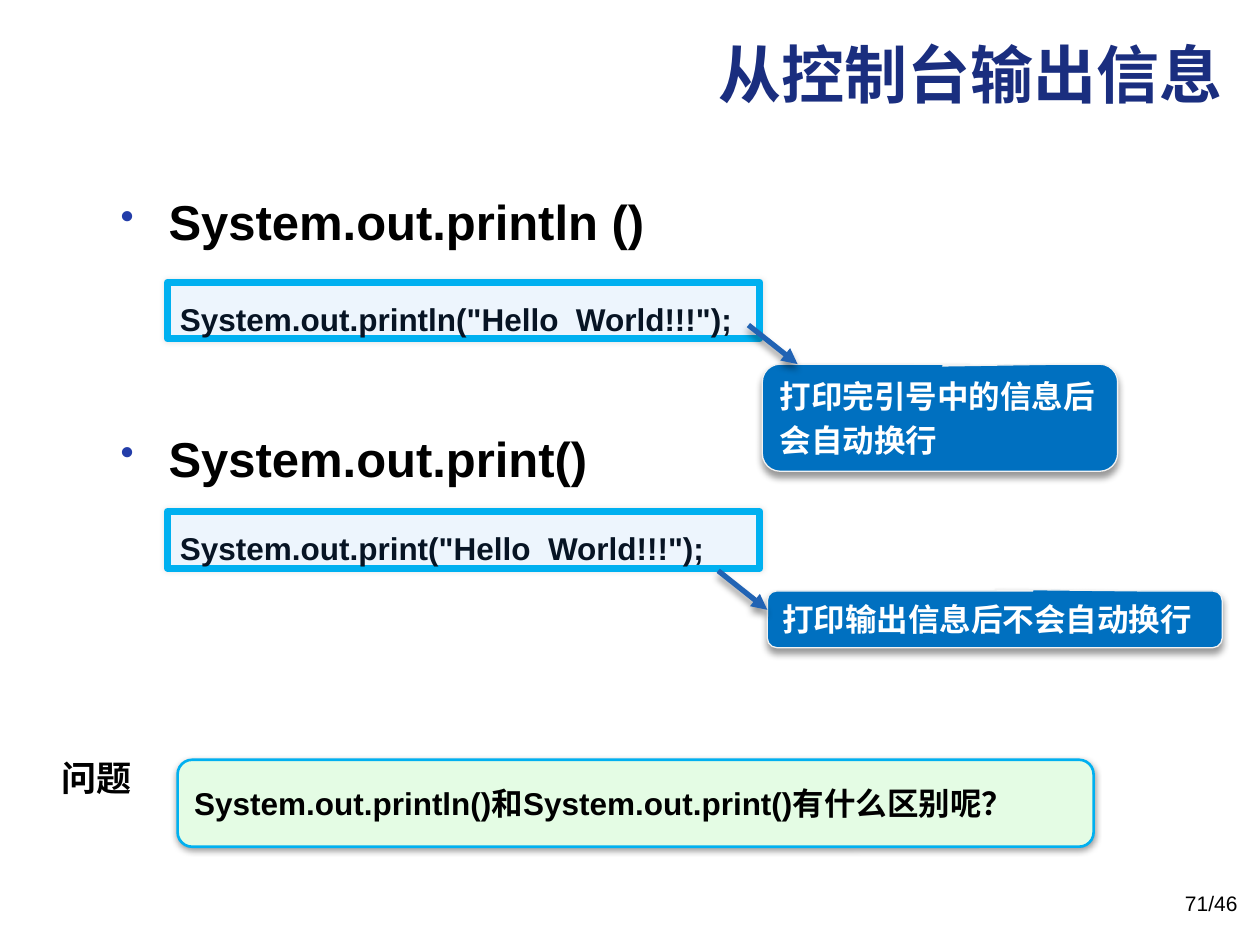
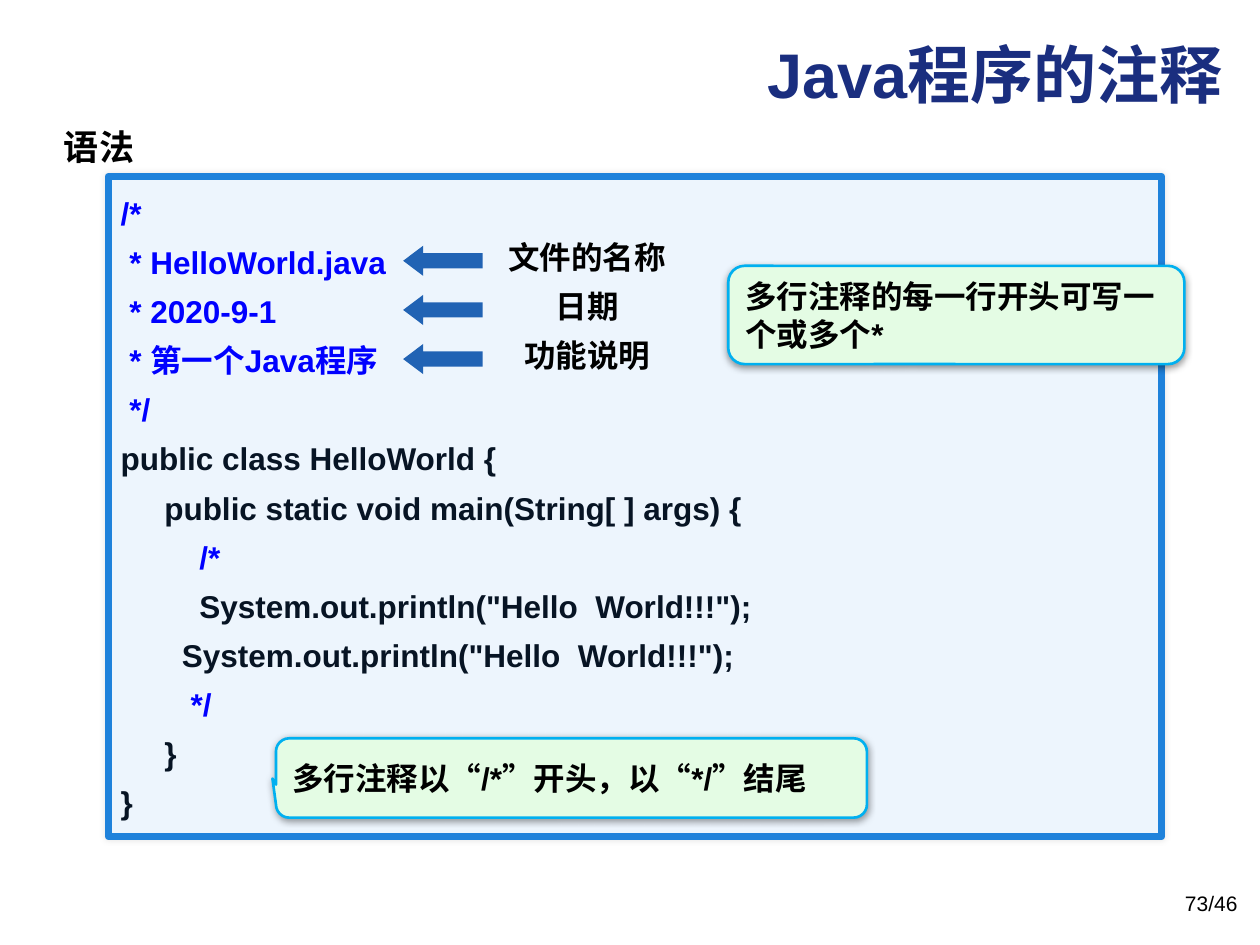
from pptx import Presentation
from pptx.dml.color import RGBColor
from pptx.enum.shapes import MSO_CONNECTOR, MSO_SHAPE
from pptx.enum.text import MSO_ANCHOR, PP_ALIGN
from pptx.oxml import parse_xml
from pptx.oxml.ns import nsdecls
from pptx.util import Inches, Pt

LEFT, CENTER, RIGHT = PP_ALIGN.LEFT, PP_ALIGN.CENTER, PP_ALIGN.RIGHT
TOP, MIDDLE = MSO_ANCHOR.TOP, MSO_ANCHOR.MIDDLE
ROUNDED = MSO_SHAPE.ROUNDED_RECTANGLE
ALTERNATE = MSO_SHAPE.FLOWCHART_ALTERNATE_PROCESS
CALLOUT = MSO_SHAPE.ROUNDED_RECTANGULAR_CALLOUT
LEFT_ARROW = MSO_SHAPE.LEFT_ARROW
STRAIGHT = MSO_CONNECTOR.STRAIGHT

WIDTH, HEIGHT = 10, 7.5
LATIN, CHINESE = "Arial", "Noto Sans CJK SC"
BLACK, WHITE, NAVY, BULLET = "000000", "FFFFFF", "1A2E7F", "233DA9"
CODE, COMMENT, ARROW = "071424", "0000FF", "2163B4"

GLOW = dict(alpha=10, blur=3, distance=0, angle=0)
SOFT = dict(alpha=40, blur=4, distance=1, angle=90)
DROP = dict(alpha=40, blur=4, distance=3, angle=90)

CODE_STYLE = dict(fill="EDF5FD", line="00B0F0", weight=4, shadow=GLOW)
LISTING_STYLE = {**CODE_STYLE, "line": "1F82DB"}
NOTE_STYLE = dict(fill="E4FCE4", line="00B0F0", weight=1.5, shadow=SOFT)
ANSWER_STYLE = dict(fill="0070C0", line="F2F2F2", weight=0.75, shadow=DROP)

METHODS = [
    dict(name="System.out.println ()", name_area=(0.86, 1.4, 8.36, 5.48),
         code='System.out.println("Hello  World!!!");', code_top=2.24,
         answer=["打印完引号中的信息后", "会自动换行"],
         answer_area=(6.05, 2.89, 2.82, 0.85),
         tip=(0.007, -0.483, 0.167), arrow_start=(5.94, 2.58)),
    dict(name="System.out.print()", name_area=(0.86, 3.28, 8.98, 0.86),
         code='System.out.print("Hello  World!!!");', code_top=4.06,
         answer=["打印输出信息后不会自动换行"],
         answer_area=(6.09, 4.69, 3.61, 0.45),
         tip=(0.001, -0.53, 0.167), arrow_start=(5.7, 4.53)),
]
QUESTION = "System.out.println()和System.out.print()有什么区别呢？"

LISTING = [
    ("/*", COMMENT),
    (" * HelloWorld.java", COMMENT),
    (" * 2020-9-1", COMMENT),
    (" * 第一个Java程序", COMMENT),
    (" */", COMMENT),
    ("public class HelloWorld {", CODE),
    ("     public static void main(String[ ] args) {", CODE),
    ("         /*", COMMENT),
    ('         System.out.println("Hello  World!!!");', CODE),
    ('       System.out.println("Hello  World!!!");', CODE),
    ("        */", COMMENT),
    ("     }", CODE),
    ("}", CODE),
]
LINE_LABELS = ["文件的名称", "日期", "功能说明"]
LABEL_TOP, LABEL_STEP = 1.92, 0.39
NOTES = [
    ("多行注释以“/*”开头，以“*/”结尾", (2.19, 5.86, 4.69, 0.63), (-0.506, 0.007, 0.167)),
    ("多行注释的每一行开头可写一个或多个*", (5.78, 2.11, 3.62, 0.78), (-0.002, 0.499, 0.167)),
]


def color(value):
    return RGBColor.from_string(value)


def add_shadow(properties, alpha, blur, distance, angle):
    properties.append(parse_xml(
        f'<a:effectLst {nsdecls("a")}><a:outerShdw blurRad="{Pt(blur)}" dist="{Pt(distance)}" '
        f'dir="{angle * 60000}" algn="ctr" rotWithShape="0"><a:srgbClr val="{BLACK}">'
        f'<a:alpha val="{alpha * 1000}"/></a:srgbClr></a:outerShdw></a:effectLst>'))


def add_bullet(paragraph):
    properties = paragraph._p.get_or_add_pPr()
    properties.set("marL", str(Inches(0.38)))
    properties.set("indent", str(-Inches(0.38)))
    for content in (f'buClr {nsdecls("a")}><a:srgbClr val="{BULLET}"/></a:buClr>',
                    f'buSzPct {nsdecls("a")} val="80000"/>',
                    f'buChar {nsdecls("a")} char="•"/>'):
        properties.append(parse_xml("<a:" + content))


def write(box, lines, size=18, ink=BLACK, bold=True, font=LATIN, align=LEFT, anchor=TOP,
          spacing=None, gap=0, bullet=False, wrap=True, inset=None, shadow=None):
    """Fill a box with lines, each a string or a (string, colour) pair."""
    frame = box.text_frame
    frame.word_wrap = wrap
    frame.vertical_anchor = anchor
    if inset is not None:
        frame.margin_left = frame.margin_right = Inches(inset)
        frame.margin_top = frame.margin_bottom = Inches(inset)
    for index, line in enumerate(lines):
        text, line_ink = (line, ink) if isinstance(line, str) else line
        paragraph = frame.add_paragraph() if index else frame.paragraphs[0]
        paragraph.text = text
        if bullet:
            add_bullet(paragraph)
        paragraph.alignment = align
        if spacing:
            paragraph.line_spacing = spacing
        if index and gap:
            paragraph.space_before = Pt(gap)
        for span in paragraph.runs:
            span.font.size = Pt(size)
            span.font.bold = bold
            span.font.color.rgb = color(line_ink)
            properties = span._r.get_or_add_rPr()
            if shadow:
                add_shadow(properties, **shadow)
            span.font.name = font
            properties.append(parse_xml(f'<a:ea {nsdecls("a")} typeface="{CHINESE}"/>'))


def add_text(page, area, lines, **style):
    write(page.shapes.add_textbox(*map(Inches, area)), lines, **style)


def add_panel(page, kind, area, fill, line=None, weight=0, shadow=None, adjust=()):
    panel = page.shapes.add_shape(kind, *map(Inches, area))
    for index, value in enumerate(adjust):
        panel.adjustments[index] = value
    panel.fill.solid()
    panel.fill.fore_color.rgb = color(fill)
    if line:
        panel.line.color.rgb = color(line)
        panel.line.width = Pt(weight)
    else:
        panel.line.fill.background()
    if shadow:
        add_shadow(panel.element.spPr, **shadow)
    else:
        panel.shadow.inherit = False
    return panel


def add_arrow(page, start, end):
    arrow = page.shapes.add_connector(STRAIGHT, *map(Inches, start + end))
    arrow.line.color.rgb = color(ARROW)
    arrow.line.width = Pt(3)
    arrow.line._get_or_add_ln().append(
        parse_xml(f'<a:tailEnd {nsdecls("a")} type="triangle"/>'))
    add_shadow(arrow.element.spPr, **DROP)


def add_page(deck, title, number):
    page = deck.slides.add_slide(deck.slide_layouts[6])
    add_text(page, (0.8, 0.23, 9, 0.98), [title], size=36, ink=NAVY, align=RIGHT)
    add_text(page, (7.59, 7.02, 2.33, 0.4), [number], size=12, bold=False, align=RIGHT)
    return page


def add_heading(page, left, top, text):
    add_text(page, (left, top, 0.77, 0.44), [text], size=20, font=CHINESE,
             anchor=MIDDLE, wrap=False, shadow=DROP)


def build_output_page(deck):
    page = add_page(deck, "从控制台输出信息", "71/46")
    for method in METHODS:
        add_text(page, method["name_area"], [method["name"]], size=28, spacing=1.15, bullet=True)
        code = add_panel(page, ROUNDED, (1.33, method["code_top"], 4.7, 0.45),
                         adjust=(0,), **CODE_STYLE)
        write(code, [method["code"]], ink=CODE, spacing=1.3)
        answer = add_panel(page, CALLOUT, method["answer_area"],
                           adjust=method["tip"], **ANSWER_STYLE)
        write(answer, method["answer"], ink=WHITE, anchor=MIDDLE, gap=3.6)
        left, top = method["arrow_start"]
        add_arrow(page, (left, top), (left + 0.39, top + 0.31))
    question = add_panel(page, ALTERNATE, (1.41, 6.03, 7.27, 0.69), **NOTE_STYLE)
    write(question, [QUESTION], anchor=MIDDLE)
    add_heading(page, 0.39, 5.95, "问题")


def build_comment_page(deck):
    page = add_page(deck, "Java程序的注释", "73/46")
    listing = add_panel(page, ROUNDED, (0.86, 1.4, 8.36, 5.24), adjust=(0,), **LISTING_STYLE)
    write(listing, LISTING, spacing=1.3)
    for row, label in enumerate(LINE_LABELS):
        top = LABEL_TOP + row * LABEL_STEP
        add_text(page, (3.52, top, 2.28, 0.27), [label], align=CENTER, anchor=MIDDLE,
                 spacing=0.9, inset=0)
        add_panel(page, LEFT_ARROW, (3.2, top + 0.03, 0.63, 0.24), ARROW, adjust=(0.5, 0.665))
    for text, area, tip in NOTES:
        note = add_panel(page, CALLOUT, area, adjust=tip, **NOTE_STYLE)
        write(note, [text], anchor=MIDDLE)
    add_heading(page, 0.41, 0.94, "语法")


def main():
    deck = Presentation()
    deck.slide_width, deck.slide_height = Inches(WIDTH), Inches(HEIGHT)
    build_output_page(deck)
    build_comment_page(deck)
    deck.save("out.pptx")


if __name__ == "__main__":
    main()
